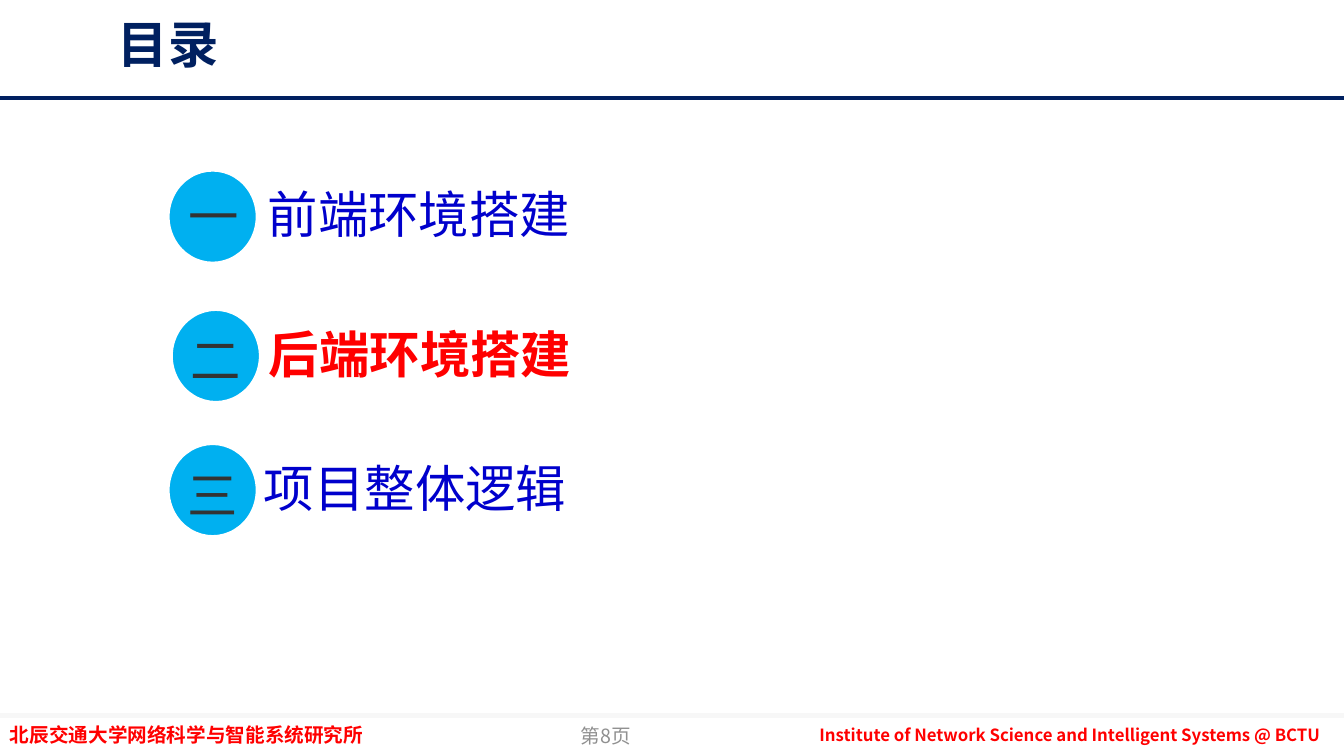
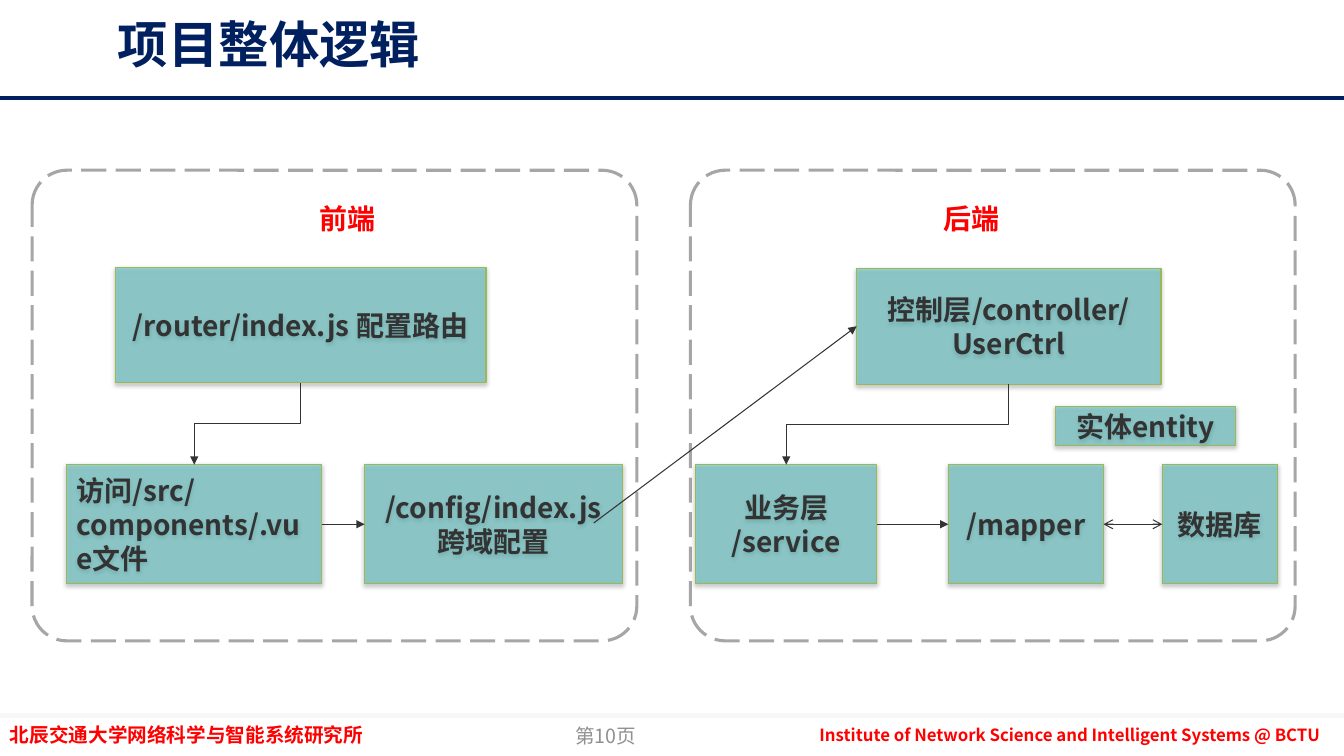
"""Build an agenda slide and a project-logic slide with a shared header and footer."""
from lxml import etree
from pptx import Presentation
from pptx.dml.color import RGBColor
from pptx.enum import dml, shapes, text
from pptx.oxml import ns
from pptx.util import Cm, Pt

SANS = "Noto Sans CJK SC"
NAVY, RED, BLUE, GREY = "002060", "FF0000", "0000CC", "909090"
INK, SKY, TEAL, GREEN = "333333", "00B0F0", "49BCBD", "98B955"
LEFT, CENTER, RIGHT = text.PP_ALIGN.LEFT, text.PP_ALIGN.CENTER, text.PP_ALIGN.RIGHT
MIDDLE, TOP, BOTTOM = text.MSO_ANCHOR.MIDDLE, text.MSO_ANCHOR.TOP, text.MSO_ANCHOR.BOTTOM
STRAIGHT, ELBOW = shapes.MSO_CONNECTOR.STRAIGHT, shapes.MSO_CONNECTOR.ELBOW
SLIDE_WIDTH = 33.87


def write(box, lines, size, color, bold=False, align=LEFT, anchor=MIDDLE,
          name=SANS, spacing=None, frame_format=None):
    frame = box.text_frame
    settings = {"word_wrap": True, "auto_size": text.MSO_AUTO_SIZE.NONE,
                "vertical_anchor": anchor, **(frame_format or {})}
    for key, value in settings.items():
        setattr(frame, key, value)
    for index, line in enumerate(lines.split("\n")):
        para = frame.add_paragraph() if index else frame.paragraphs[0]
        para.alignment = align
        para.line_spacing = spacing
        span = para.add_run()
        span.text = line
        for key, value in {"name": name, "size": Pt(size), "bold": bold}.items():
            setattr(span.font, key, value)
        span.font.color.rgb = RGBColor.from_string(color)
        latin = span.font._element.find(ns.qn("a:latin"))
        east_asian = etree.Element(ns.qn("a:ea"), typeface=SANS)
        latin.addnext(east_asian)


def draw_line(page, kind, ends, color, width, arrows=()):
    line = page.shapes.add_connector(kind, *[Cm(value) for value in ends])
    line.line.color.rgb = RGBColor.from_string(color)
    line.line.width = Pt(width)
    outline = line.line._get_or_add_ln()
    for end, head in arrows:
        etree.SubElement(outline, ns.qn(f"a:{end}"), type=head)
    etree.SubElement(line._element.spPr, ns.qn("a:effectLst"))
    return line


deck = Presentation()
deck.slide_width, deck.slide_height = Cm(SLIDE_WIDTH), Cm(19.05)

footers = [
    ((0, 18.08, 12.67, 0.86), "北辰交通大学网络科学与智能系统研究所",
     {"size": 14, "color": RED, "bold": True, "name": "Arial"}),
    ((18.54, 18.14, 14.99, 0.76),
     "Institute of Network Science and Intelligent Systems @ BCTU",
     {"size": 12, "color": RED, "bold": True, "align": RIGHT}),
]
pages = []
for heading, number in (("目录", "第8页"), ("项目整体逻辑", "第10页")):
    page = deck.slides.add_slide(deck.slide_layouts[5])
    pages.append(page)
    title = page.shapes.title
    title.left, title.top, title.width, title.height = Cm(2.97), Cm(0.56), Cm(29.06), Cm(1.3)
    margins = {f"margin_{side}": 0 for side in ("left", "top", "right", "bottom")}
    write(title, heading, 36, NAVY, True, anchor=BOTTOM, spacing=0.85, frame_format=margins)
    draw_line(page, STRAIGHT, (0, 18.03, SLIDE_WIDTH, 18.03), "F7F7F7", 3.5)
    draw_line(page, STRAIGHT, (0, 2.46, SLIDE_WIDTH, 2.46), NAVY, 3)
    page_number = ((11.46, 18.03, 7.62, 1.02), number,
                   {"size": 14, "color": GREY, "align": CENTER})
    for place, words, style in footers + [page_number]:
        write(page.shapes.add_textbox(*map(Cm, place)), words, **style)

agenda, logic = pages

items = [
    (4.24, 4.29, "一", 4.5, 4.55, "前端环境搭建", 6.55, BLUE, False),
    (4.32, 7.8, "二", 4.55, 8.18, "后端环境搭建", 6.58, RED, True),
    (4.24, 11.18, "三", 4.47, 11.56, "项目整体逻辑", 6.45, BLUE, False),
]
for left, top, numeral, numeral_left, numeral_top, topic, topic_left, color, bold in items:
    disc = agenda.shapes.add_shape(shapes.MSO_SHAPE.OVAL, Cm(left), Cm(top), Cm(2.24), Cm(2.34))
    disc.shadow.inherit = False
    disc.fill.solid()
    disc.fill.fore_color.rgb = RGBColor.from_string(SKY)
    disc.line.color.rgb = RGBColor.from_string("FFFFFF")
    disc.line.width = Pt(2)
    box = agenda.shapes.add_textbox(Cm(numeral_left), Cm(numeral_top), Cm(1.78), Cm(1.8))
    write(box, numeral, 36, INK, align=CENTER, anchor=TOP, name="Arial",
          frame_format={"word_wrap": False})
    box = agenda.shapes.add_textbox(Cm(topic_left), Cm(top - 0.1), Cm(21.34), Cm(2.59))
    write(box, topic, 36, color, bold, spacing=0.9,
          frame_format={"margin_left": Cm(0.2), "margin_right": Cm(0.2)})

for left, side, label_left, label_width in ((0.81, "前端", 2.46, 12.62),
                                           (17.4, "后端", 18.8, 11.38)):
    panel = logic.shapes.add_shape(shapes.MSO_SHAPE.ROUNDED_RECTANGLE,
                                   Cm(left), Cm(4.29), Cm(15.24), Cm(11.86))
    panel.adjustments[0] = 0.074
    panel.shadow.inherit = False
    panel.fill.background()
    panel.line.color.rgb = RGBColor.from_string("A6A6A6")
    panel.line.width = Pt(2.25)
    panel.line.dash_style = dml.MSO_LINE.LONG_DASH
    label = logic.shapes.add_textbox(Cm(label_left), Cm(4.95), Cm(label_width), Cm(1.12))
    write(label, side, 20, RED, True, CENTER, TOP)

ROW_TOP, ROW_HEIGHT = 11.71, 3
modules = {
    "router": (2.9, 6.73, 9.35, 2.92, "/router/index.js 配置路由"),
    "view": (1.68, ROW_TOP, 6.43, ROW_HEIGHT, "访问/src/components/.vue文件"),
    "config": (9.19, ROW_TOP, 6.5, ROW_HEIGHT, "/config/index.js 跨域配置"),
    "controller": (21.59, 6.76, 7.67, 2.92, "控制层/controller/UserCtrl"),
    "service": (17.53, ROW_TOP, 4.57, ROW_HEIGHT, "业务层\n/service"),
    "mapper": (23.9, ROW_TOP, 3.91, ROW_HEIGHT, "/mapper"),
    "entity": (26.59, 10.24, 4.55, 0.99, "实体entity"),
    "database": (29.29, ROW_TOP, 2.9, ROW_HEIGHT, "数据库"),
}
boxes = {}
for key, (*place, words) in modules.items():
    box = logic.shapes.add_shape(shapes.MSO_SHAPE.RECTANGLE, *map(Cm, place))
    boxes[key] = box
    box.fill.solid()
    box.fill.fore_color.rgb = RGBColor.from_string(TEAL)
    fill_color = box._element.spPr.find(".//" + ns.qn("a:srgbClr"))
    etree.SubElement(fill_color, ns.qn("a:alpha"), val="50000")
    box.line.color.rgb = RGBColor.from_string(GREEN)
    box.line.width = Pt(0.75)
    box.shadow.inherit = False
    effects = box._element.spPr.find(ns.qn("a:effectLst"))
    shadow = etree.SubElement(effects, ns.qn("a:outerShdw"), blurRad="40000",
                              dist="20000", dir="5400000", rotWithShape="0")
    shadow_color = etree.SubElement(shadow, ns.qn("a:srgbClr"), val="000000")
    etree.SubElement(shadow_color, ns.qn("a:alpha"), val="38000")
    write(box, words, 20, INK, True, LEFT if key == "view" else CENTER)

FORWARD = [("tailEnd", "triangle")]
BOTH_WAYS = [("headEnd", "arrow"), ("tailEnd", "arrow")]
for start, end, arrows in (("view", "config", FORWARD), ("service", "mapper", FORWARD),
                           ("mapper", "database", BOTH_WAYS)):
    link = draw_line(logic, STRAIGHT, (0, 0, 1, 1), INK, 0.75, arrows)
    link.begin_connect(boxes[start], 3)
    link.end_connect(boxes[end], 1)

request = draw_line(logic, STRAIGHT, (14.96, 13.18, 21.59, 8.2), INK, 0.75, FORWARD)
request.end_connect(boxes["controller"], 1)

for start, end in (("router", "view"), ("controller", "service")):
    link = draw_line(logic, ELBOW, (0, 0, 1, 1), INK, 0.75, FORWARD)
    link.begin_connect(boxes[start], 2)
    link.end_connect(boxes[end], 0)
    across, down = link.begin_x - link.end_x, link.end_y - link.begin_y
    middle_x, middle_y = (link.begin_x + link.end_x) // 2, (link.begin_y + link.end_y) // 2
    frame = link._element.spPr.find(ns.qn("a:xfrm"))
    for flip in ("flipH", "flipV"):
        frame.attrib.pop(flip, None)
    frame.set("rot", "5400000")
    link.left, link.top = middle_x - down // 2, middle_y - across // 2
    link.width, link.height = down, across

deck.save("out.pptx")
